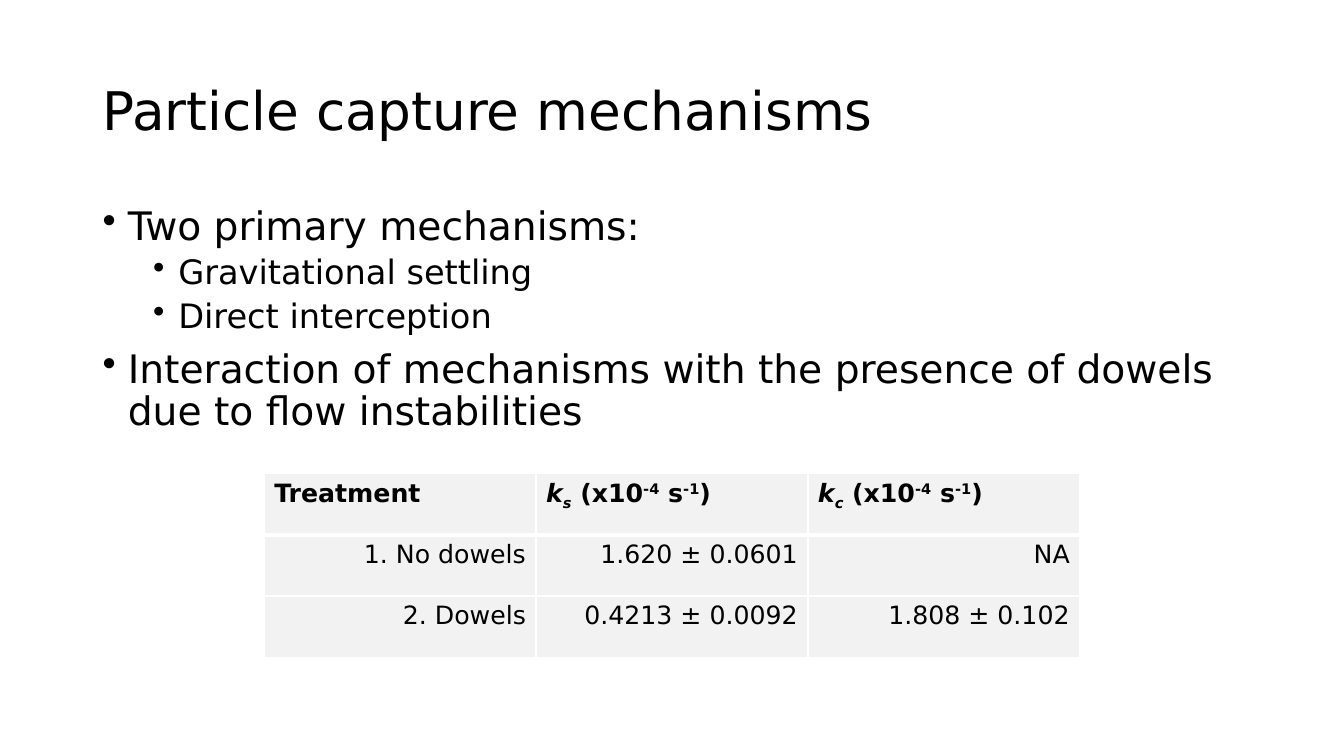
from dataclasses import dataclass

from lxml import etree
from pptx import Presentation
from pptx import util as u
from pptx.dml.color import RGBColor
from pptx.enum import text as t
from pptx.oxml import ns


@dataclass(frozen=True)
class Theme:
    face: str = "DejaVu Sans"
    ink: str = "000000"
    cell: str = "F2F2F2"
    rule: str = "FFFFFF"
    title: int = 38
    body: tuple = (28, 24)
    table: int = 18


THEME = Theme()

POINTS = [
    (0, "Two primary mechanisms:"),
    (1, "Gravitational settling"),
    (1, "Direct interception"),
    (0, "Interaction of mechanisms with the presence of dowels due to flow instabilities"),
]


def rate(sub):
    return [("k", True, 0), (sub, True, -25), (" (x10", False, 0),
            ("-4", False, 30), (" s", False, 0), ("-1", False, 30),
            (")", False, 0)]


def plain(words):
    return [(words, False, 0)]


ROWS = [
    [plain("Treatment"), rate("s"), rate("c")],
    [plain("1. No dowels"), plain("1.620 ± 0.0601"), plain("NA")],
    [plain("2. Dowels"), plain("0.4213 ± 0.0092"), plain("1.808 ± 0.102")],
]


def style(font, size):
    font.name = THEME.face
    font.size = u.Pt(size)
    font.color.rgb = RGBColor.from_string(THEME.ink)


def frame(slide, box):
    area = slide.shapes.add_textbox(*map(u.Inches, box)).text_frame
    area.word_wrap = True
    return area


def add_title(slide, box, words):
    area = frame(slide, box)
    area.vertical_anchor = t.MSO_ANCHOR.MIDDLE
    area.text = words
    para = area.paragraphs[0]
    para.line_spacing = 0.9
    style(para.runs[0].font, THEME.title)


def add_points(slide, box, points):
    area = frame(slide, box)
    for i, (level, words) in enumerate(points):
        para = area.add_paragraph() if i else area.paragraphs[0]
        para.text = words
        para.level = level
        props = para._p.get_or_add_pPr()
        props.set("marL", str(u.Inches(0.25 + 0.5 * level)))
        props.set("indent", str(u.Inches(-0.25)))
        etree.SubElement(props, ns.qn("a:buChar")).set("char", "•")
        para.line_spacing = 0.9
        para.space_before = u.Pt((5 if level else 10) if i else 0)
        style(para.runs[0].font, THEME.body[level])


def edge(cell, side, width):
    line = etree.SubElement(cell._tc.get_or_add_tcPr(), ns.qn("a:ln" + side))
    line.set("w", str(u.Pt(width)))
    fill = etree.SubElement(line, ns.qn("a:solidFill"))
    etree.SubElement(fill, ns.qn("a:srgbClr")).set("val", THEME.rule)


def fill_cell(cell, parts, row):
    widths = {"L": 1, "R": 1, "T": 3 if row == 1 else 1, "B": 1 if row else 3}
    for side, width in widths.items():
        edge(cell, side, width)
    cell.fill.solid()
    cell.fill.fore_color.rgb = RGBColor.from_string(THEME.cell)
    para = cell.text_frame.paragraphs[0]
    para.alignment = t.PP_ALIGN.RIGHT if row else t.PP_ALIGN.LEFT
    for words, slant, shift in parts:
        run = para.add_run()
        run.text = words
        style(run.font, THEME.table)
        run.font.bold = row == 0
        run.font.italic = slant
        if shift:
            run._r.get_or_add_rPr().set("baseline", str(shift * 1000))


def add_rates(slide, box, rows):
    grid = slide.shapes.add_table(
        len(rows), len(rows[0]), *map(u.Inches, box)).table
    for r, row in enumerate(rows):
        for c, parts in enumerate(row):
            fill_cell(grid.cell(r, c), parts, r)


def main():
    deck = Presentation()
    deck.slide_width = u.Inches(13.33)
    deck.slide_height = u.Inches(7.5)
    slide = deck.slides.add_slide(deck.slide_layouts[6])
    add_title(slide, (0.92, 0.4, 11.5, 1.45), "Particle capture mechanisms")
    add_points(slide, (0.92, 2, 11.5, 4.76), POINTS)
    add_rates(slide, (2.62, 4.7, 8.09, 1.82), ROWS)
    deck.save("out.pptx")


if __name__ == "__main__":
    main()
